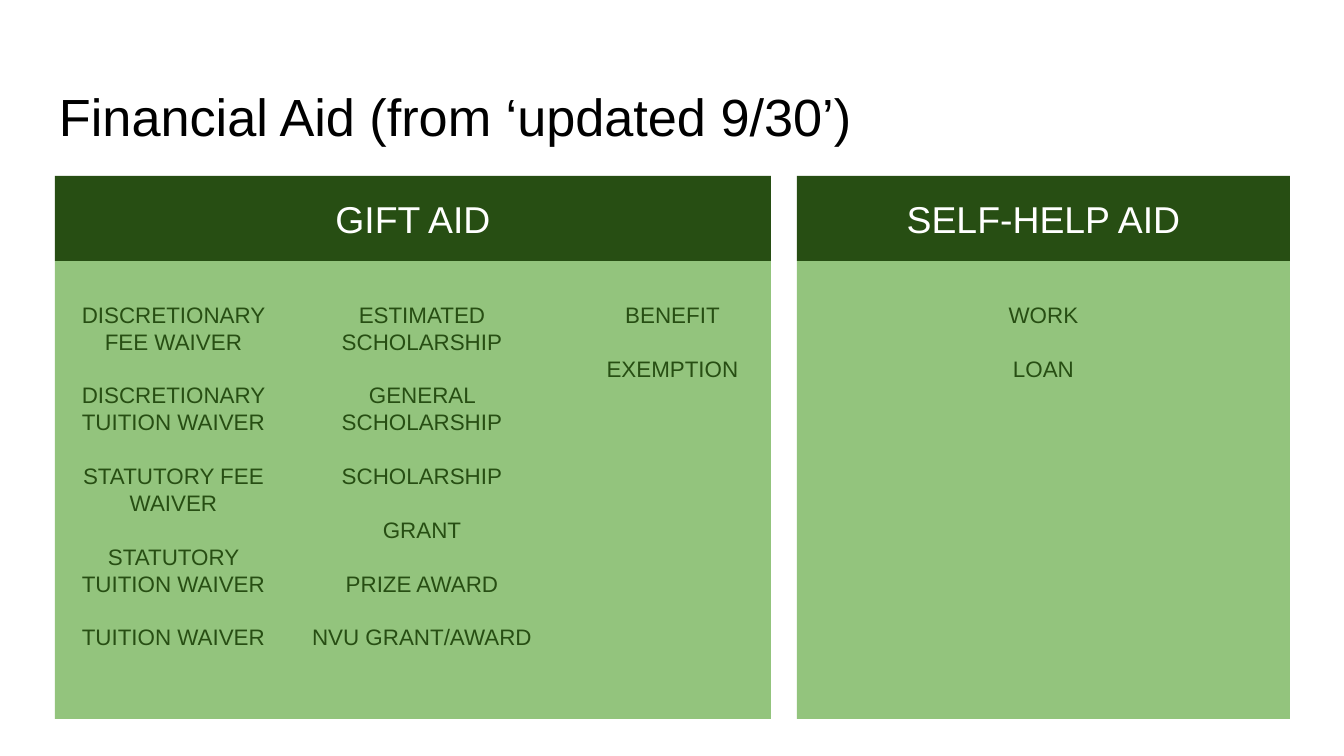
from dataclasses import dataclass

from pptx import Presentation
from pptx.dml.color import RGBColor
from pptx.enum.shapes import MSO_SHAPE as Shape
from pptx.enum.text import MSO_ANCHOR as Anchor, PP_ALIGN as Align
from pptx.util import Emu, Pt

PX = 914400 / 134.4
PAD = 13
LINE = Pt(14.4)
HEAD_TOP, BODY_TOP, BOTTOM, LIST_H = 176, 261, 719, 383
COLORS = {"black": "000000", "white": "FFFFFF", "dark": "274E13", "light": "93C47D"}


@dataclass
class Box:
    """A rectangle in pixels."""
    left: int
    top: int
    width: int
    height: int


@dataclass
class Column:
    """One list of aid types inside a panel."""
    left: int
    width: int
    items: list[str]


@dataclass
class Panel:
    """A headed panel with its columns."""
    left: int
    width: int
    heading: str
    columns: list[Column]


PANELS = [
    Panel(55, 716, "GIFT AID", [
        Column(55, 237, ["DISCRETIONARY FEE WAIVER", "DISCRETIONARY TUITION WAIVER",
                         "STATUTORY FEE WAIVER", "STATUTORY TUITION WAIVER",
                         "TUITION WAIVER"]),
        Column(297, 250, ["ESTIMATED SCHOLARSHIP", "GENERAL SCHOLARSHIP", "SCHOLARSHIP",
                          "GRANT", "PRIZE AWARD", "NVU GRANT/AWARD"]),
        Column(554, 237, ["BENEFIT", "EXEMPTION"]),
    ]),
    Panel(797, 493, "SELF-HELP AID", [Column(797, 493, ["WORK", "LOAN"])]),
]


def px(n: int) -> Emu:
    """Turn pixels into EMU."""
    return Emu(round(n * PX))


def rgb(name: str) -> RGBColor:
    """Look up a named colour."""
    return RGBColor.from_string(COLORS[name])


def apply(obj: object, values: dict) -> None:
    """Set every attribute in values on obj."""
    for name, value in values.items():
        setattr(obj, name, value)


def corners(box: Box) -> list[Emu]:
    """Give left, top, width and height in EMU."""
    return [px(n) for n in (box.left, box.top, box.width, box.height)]


def add_rect(s, box: Box, color: str) -> None:
    """Draw a plain filled rectangle."""
    sp = s.shapes.add_shape(Shape.RECTANGLE, *corners(box))
    sp.shadow.inherit = False
    sp.fill.solid()
    sp.fill.fore_color.rgb = rgb(color)
    sp.line.fill.background()


def add_text(s, box: Box, lines: list[str], size: int, color: str, para: dict,
             anchor: Anchor = Anchor.TOP, top_pad: int = PAD) -> None:
    """Write lines as paragraphs in a wrapped text box."""
    tf = s.shapes.add_textbox(*corners(box)).text_frame
    apply(tf, {"word_wrap": True, "vertical_anchor": anchor,
               "margin_left": px(PAD), "margin_right": px(PAD),
               "margin_top": px(top_pad), "margin_bottom": px(PAD)})
    for i, line in enumerate(lines):
        p = tf.add_paragraph() if i else tf.paragraphs[0]
        apply(p, para)
        if i and len(lines) > 1:
            p.space_before = LINE
        r = p.add_run()
        r.text = line
        apply(r.font, {"name": "Arial", "size": Pt(size)})
        r.font.color.rgb = rgb(color)


def add_panel(s, panel: Panel) -> None:
    """Draw a panel: body, heading bar and lists."""
    head = Box(panel.left, HEAD_TOP, panel.width, BODY_TOP - HEAD_TOP)
    add_rect(s, Box(panel.left, BODY_TOP, panel.width, BOTTOM - BODY_TOP), "light")
    add_rect(s, head, "dark")
    add_text(s, head, [panel.heading], 20, "white", {"alignment": Align.CENTER},
             Anchor.MIDDLE)
    for col in panel.columns:
        add_text(s, Box(col.left, BODY_TOP, col.width, LIST_H), col.items, 12, "dark",
                 {"alignment": Align.CENTER, "line_spacing": LINE}, top_pad=PAD + 27)


def main() -> None:
    """Build and save the slide."""
    prs = Presentation()
    apply(prs, {"slide_width": px(1344), "slide_height": px(756)})
    s = prs.slides.add_slide(prs.slide_layouts[6])
    add_text(s, Box(46, 66, 1252, 85), ["Financial Aid (from ‘updated 9/30’)"], 28,
             "black", {"alignment": Align.LEFT}, top_pad=PAD + 5)
    for panel in PANELS:
        add_panel(s, panel)
    prs.save("out.pptx")


main()
